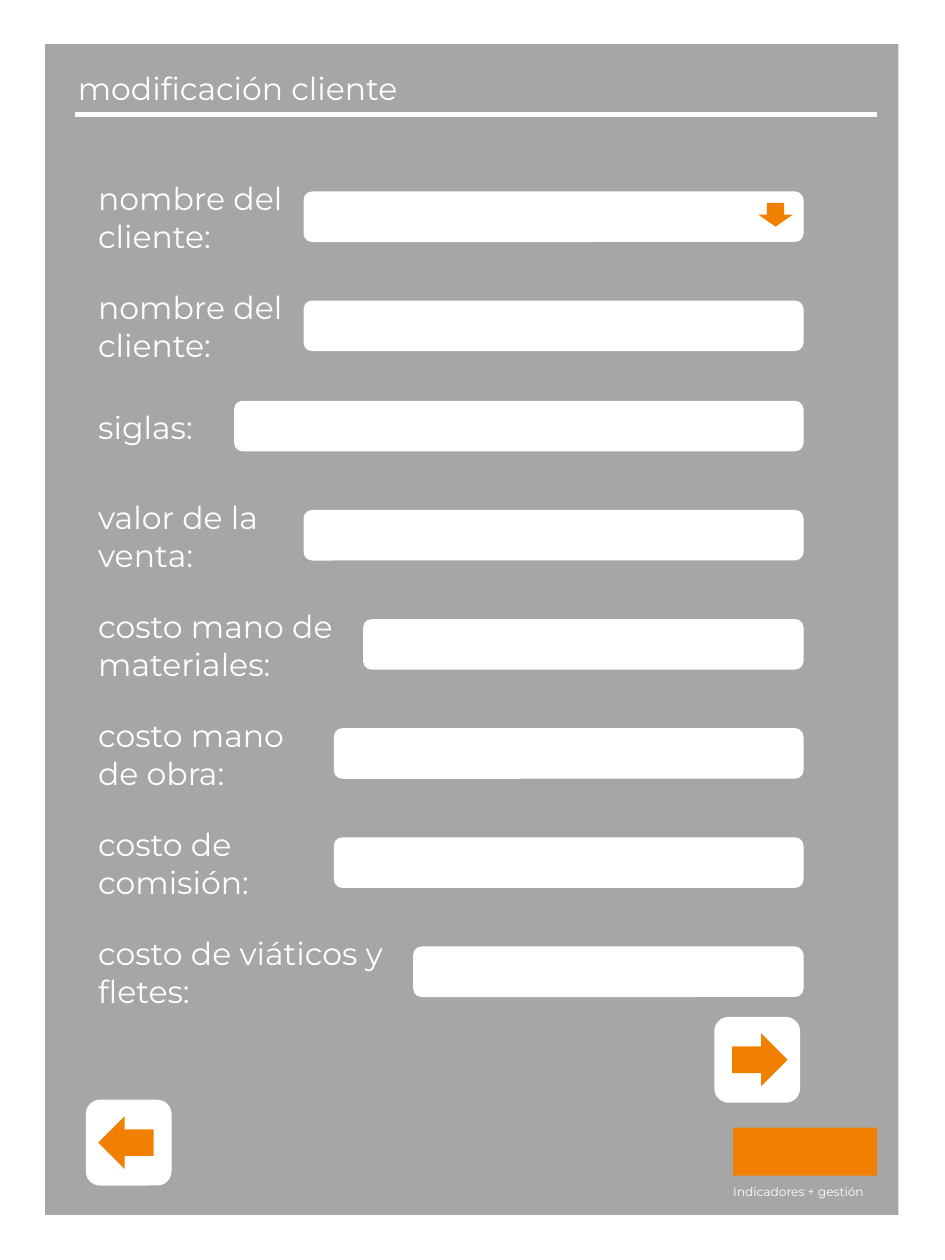
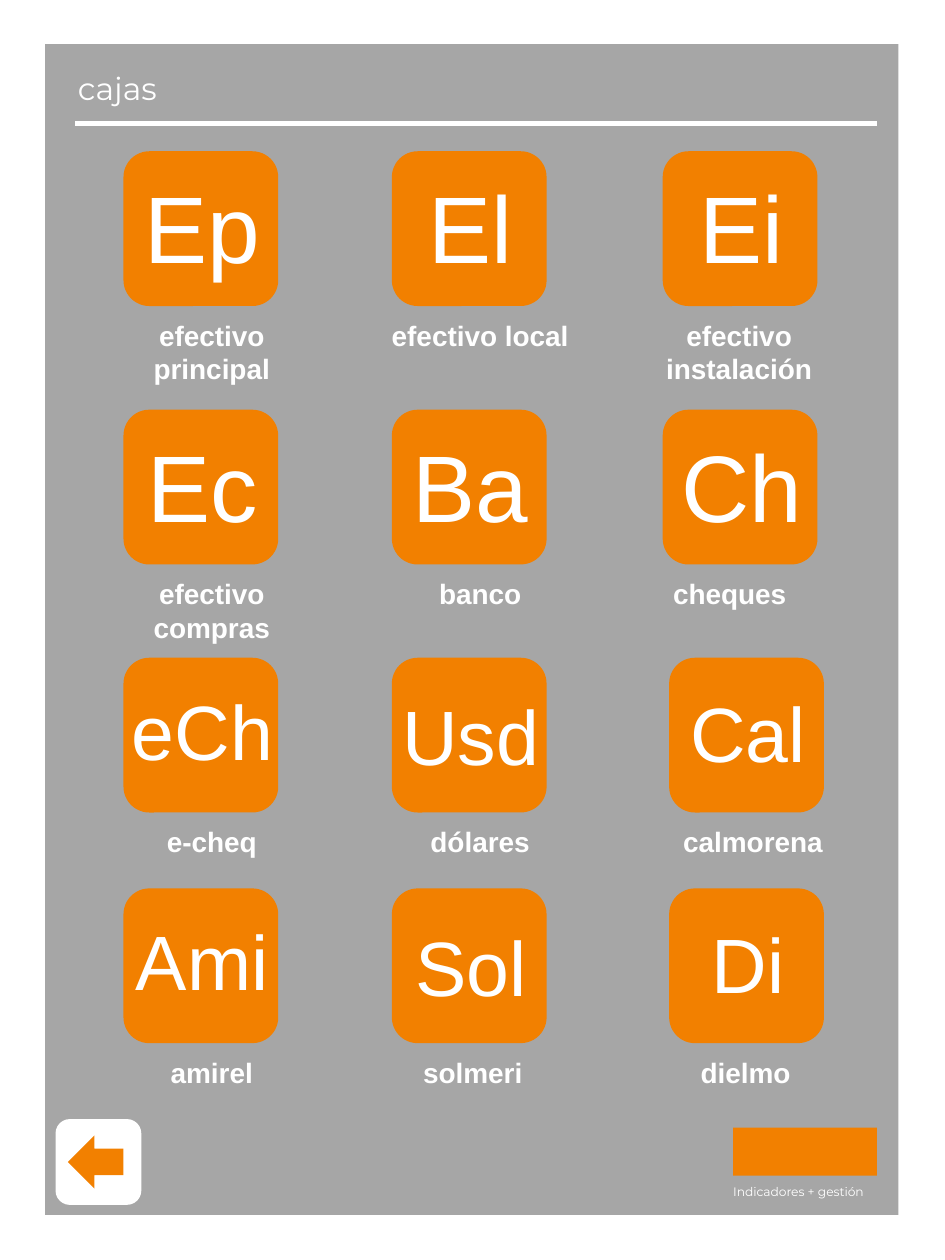
from pptx import Presentation
from pptx.dml.color import RGBColor
from pptx.enum.shapes import MSO_CONNECTOR, MSO_SHAPE as SHP
from pptx.enum.text import MSO_AUTO_SIZE, PP_ALIGN
from pptx.oxml.ns import qn
from pptx.util import Cm, Pt
from lxml.etree import SubElement

GREY, ORANGE, WHITE = "A6A6A6", "F28000", "FFFFFF"
LIGHT, BOLD = "Montserrat", "Arial"
FIELD_RIGHT, FIELD_H, LABEL_LEFT = 16.2, 1.02, 1.73
TILE, CAPTION_W = 3.12, 5.08
BUTTON, ARROW_W, ARROW_H = 1.73, 1.12, 1.07

FIELDS = [
    ("nombre del cliente:", 6.12, 2),
    ("nombre del cliente:", 6.12, 2),
    ("siglas:", 4.72, 1),
    ("valor de la venta:", 6.12, 2),
    ("costo mano de materiales:", 7.32, 2),
    ("costo mano de obra:", 6.73, 2),
    ("costo de comisión:", 6.73, 2),
    ("costo de viáticos y fletes:", 8.33, 2),
]

# Each box: symbol, caption, caption lines, caption shift from the tile's left.
BOXES = [
    [("Ep", "efectivo principal", 2, -0.76), ("El", "efectivo local", 1, -0.76),
     ("Ei", "efectivo instalación", 2, -1.0)],
    [("Ec", "efectivo compras", 2, -0.76), ("Ba", "banco", 1, -0.76),
     ("Ch", "cheques", 1, -1.19)],
    [("eCh", "e-cheq", 1, -0.76), ("Usd", "dólares", 1, -0.76),
     ("Cal", "calmorena", 1, -0.85)],
    [("Ami", "amirel", 1, -0.76), ("Sol", "solmeri", 1, -0.91),
     ("Di", "dielmo", 1, -1.0)],
]
# Each row: top, symbol size, symbol box width and height, tile lefts, symbol drops.
UPPER = (54, 3.53, 2.57, (2.49, 7.9, 13.36), (0.24, 0.24, 0.24))
LOWER = (44, 4.29, 2.13, (2.49, 7.9, 13.49), (0.39, 0.5, 0.44))
ROWS = [(3.05, *UPPER), (8.26, *UPPER), (13.26, *LOWER), (17.91, *LOWER)]


def rgb(color):
    """Return the colour for a hex string."""
    return RGBColor.from_string(color)


def write(tf, text, size=18, font=LIGHT, color=WHITE, bold=False, align=PP_ALIGN.LEFT):
    """Write one formatted paragraph into a text frame."""
    p = tf.paragraphs[0]
    p.alignment = align
    r = p.add_run()
    r.text = text
    r.font.size, r.font.name, r.font.bold = Pt(size), font, bold
    r.font.color.rgb = rgb(color)


class Deck:
    """Hold the presentation style and the current slide."""

    def __init__(self):
        """Start an empty portrait presentation."""
        self.prs = Presentation()
        self.prs.slide_width, self.prs.slide_height = Cm(19.05), Cm(25.4)
        self.s = None

    def page(self, title, rule_y):
        """Add a slide with its panel, brand mark, title and rule."""
        self.s = self.prs.slides.add_slide(self.prs.slide_layouts[6])
        self.shape(SHP.RECTANGLE, 0.91, 0.89, 17.2, 23.6, GREY)
        self.shape(SHP.RECTANGLE, 14.78, 22.73, 2.9, 0.97, ORANGE)
        self.text("Indicadores + gestión", 14.53, 23.75, 3.81, 0.56, size=7)
        self.text(title, 1.32, 1.27, 14.88, 1.02)
        self.rule(1.52, 17.68, rule_y)

    def shape(self, kind, x, y, w, h, color):
        """Add a flat filled preset shape."""
        sp = self.s.shapes.add_shape(kind, Cm(x), Cm(y), Cm(w), Cm(h))
        sp.shadow.inherit = False
        sp.fill.solid()
        sp.fill.fore_color.rgb = rgb(color)
        sp.line.fill.background()

    def text(self, text, x, y, w, h, **fmt):
        """Add a wrapped text box."""
        sp = self.s.shapes.add_textbox(Cm(x), Cm(y), Cm(w), Cm(h))
        tf = sp.text_frame
        tf.word_wrap = True
        tf.auto_size = MSO_AUTO_SIZE.SHAPE_TO_FIT_TEXT
        write(tf, text, **fmt)

    def rule(self, x1, x2, y):
        """Add a horizontal white rule."""
        c = self.s.shapes.add_connector(MSO_CONNECTOR.STRAIGHT, Cm(x1), Cm(y), Cm(x2), Cm(y))
        c.line.color.rgb, c.line.width = rgb(WHITE), Pt(3)
        SubElement(c._element.spPr, qn("a:effectLst"))

    def button(self, x, y, arrow, dx):
        """Add a white navigation button with an arrow."""
        self.shape(SHP.ROUNDED_RECTANGLE, x, y, BUTTON, BUTTON, WHITE)
        self.shape(arrow, x + dx, y + 0.33, ARROW_W, ARROW_H, ORANGE)

    def field(self, label, x, y, lines):
        """Add an input field with its label centred beside it."""
        self.shape(SHP.ROUNDED_RECTANGLE, x, y, FIELD_RIGHT - x, FIELD_H, WHITE)
        h = 1.8 if lines == 2 else FIELD_H
        self.text(label, LABEL_LEFT, y + (FIELD_H - h) / 2 + 0.02, x - LABEL_LEFT, h)

    def tile(self, symbol, caption, lines, shift, x, y, size, w, h, drop):
        """Add an orange tile with its symbol and caption."""
        self.shape(SHP.ROUNDED_RECTANGLE, x, y, TILE, TILE, ORANGE)
        self.text(symbol, x + (TILE - w) / 2 + 0.03, y + drop, w, h,
                  size=size, font=BOLD, align=PP_ALIGN.CENTER)
        self.text(caption, x + shift, y + 3.24, CAPTION_W, 1.63 if lines == 2 else 0.94,
                  size=16, font=BOLD, bold=True, align=PP_ALIGN.CENTER)


def client_form(deck):
    """Build the client editing form."""
    deck.page("modificación cliente", 2.31)
    for i, (label, x, lines) in enumerate(FIELDS):
        deck.field(label, x, 3.86 + 2.2 * i - (0.18 if i > 1 else 0), lines)
    deck.shape(SHP.DOWN_ARROW, 15.29, 4.09, 0.69, 0.48, ORANGE)
    deck.button(1.73, 22.17, SHP.LEFT_ARROW, 0.25)
    deck.button(14.4, 20.5, SHP.RIGHT_ARROW, 0.36)


def cash_boxes(deck):
    """Build the grid of cash boxes."""
    deck.page("cajas", 2.49)
    for boxes, (y, size, w, h, lefts, drops) in zip(BOXES, ROWS):
        for box, x, drop in zip(boxes, lefts, drops):
            deck.tile(*box, x, y, size, w, h, drop)
    deck.button(1.12, 22.56, SHP.LEFT_ARROW, 0.25)


def main():
    """Build and save the presentation."""
    deck = Deck()
    client_form(deck)
    cash_boxes(deck)
    deck.prs.save("out.pptx")


if __name__ == "__main__":
    main()
